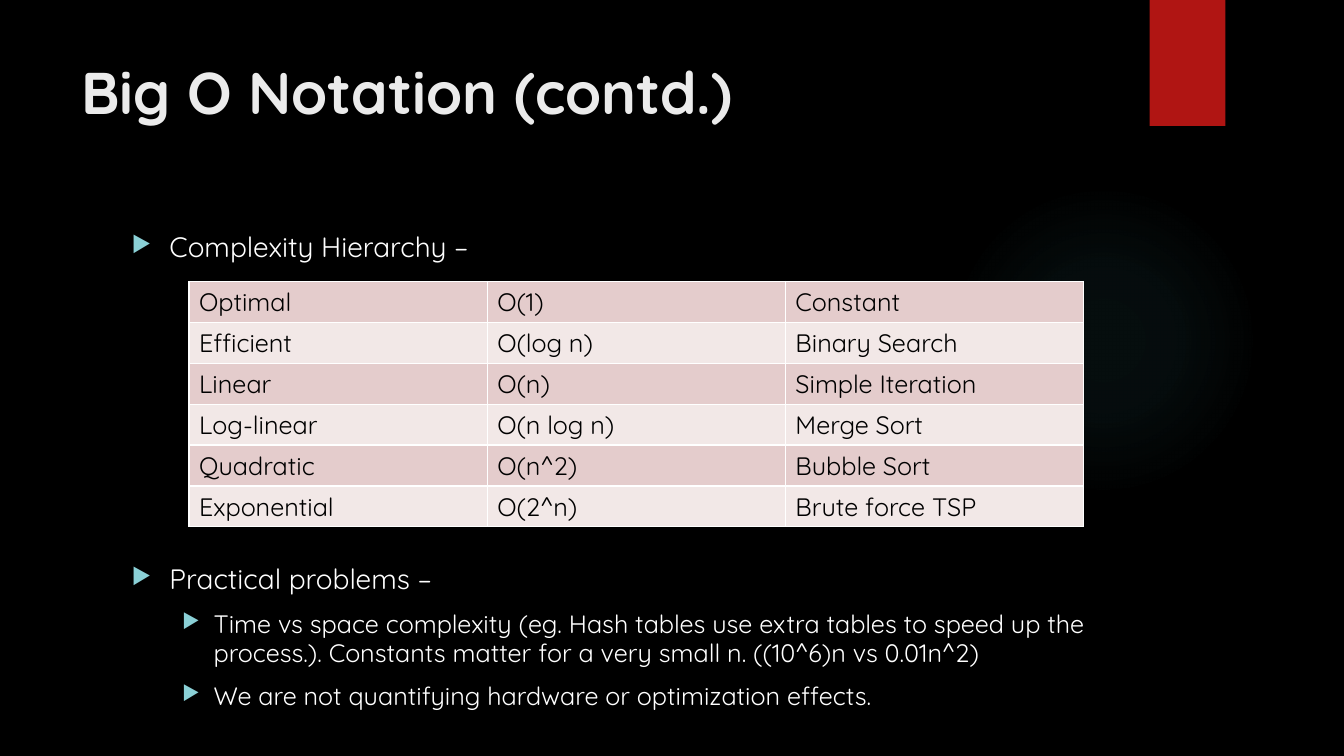
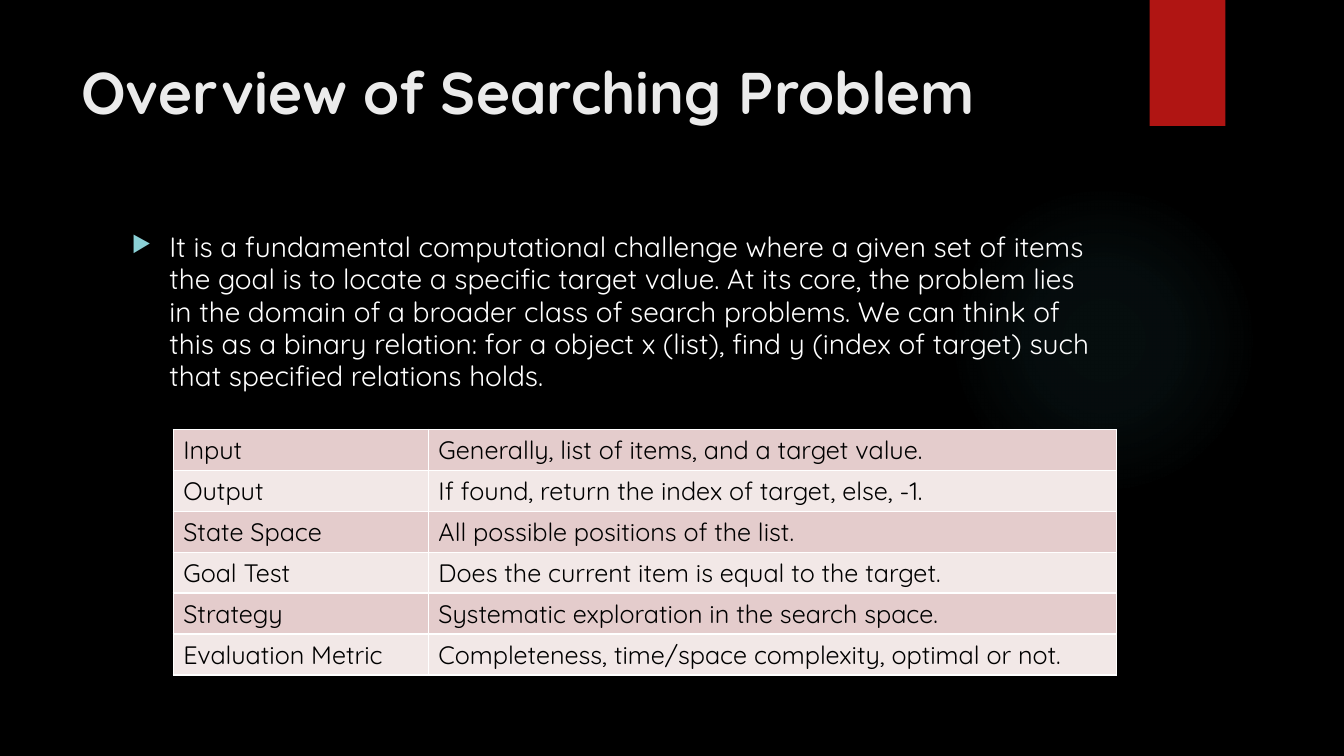
from dataclasses import dataclass

from pptx import Presentation
from pptx.dml.color import RGBColor
from pptx.enum.shapes import MSO_SHAPE
from pptx.enum.text import MSO_ANCHOR, PP_ALIGN
from pptx.oxml import parse_xml
from pptx.oxml.ns import nsdecls, qn
from pptx.util import Emu, Pt

OVAL = MSO_SHAPE.OVAL
RECTANGLE = MSO_SHAPE.RECTANGLE
LEFT = PP_ALIGN.LEFT
TOP = MSO_ANCHOR.TOP
EMU_PER_PX = 9525
EMU_PER_PT = 12700
BLANK_LAYOUT = 6


@dataclass(frozen=True)
class Theme:
    font: str = "Quicksand"
    background: str = "000000"
    glow: str = "50B9C1"
    ribbon: str = "B01513"
    shadow: str = "000000"
    title: str = "EBEBEB"
    body: str = "FFFFFF"
    bullet: str = "8AD0D6"
    cell_text: str = "000000"
    border: str = "FFFFFF"
    bands: tuple = ("E4CCCC", "F2E8E7")
    title_size: int = 42
    body_sizes: tuple = (20, 18)
    table_size: int = 18
    body_spacing: float = 0.96
    paragraph_gap: int = 10


def px(length):
    return Emu(length * EMU_PER_PX)


def drawing_xml(markup):
    """Parse one DrawingML element whose tag opens the markup."""
    tag, rest = markup[:-1].split(" ", 1) if " " in markup.split(">")[0] else (
        markup.split(">")[0], ">" + markup.split(">", 1)[1][:-1])
    return parse_xml(f"{tag} {nsdecls('a')} {rest}>")


def write_text(para, text, *, font, size, color, bold=False, space_before=0,
               line_spacing=None):
    para.alignment = LEFT
    para.space_before = Pt(space_before)
    if line_spacing:
        para.line_spacing = line_spacing
    span = para.add_run()
    span.text = text
    span.font.name = font
    span.font.size = Pt(size)
    span.font.bold = bold
    span.font.color.rgb = RGBColor.from_string(color)


class DeckBuilder:
    INDENTS = ((36, 36), (78, 30))  # text indent and bullet hang, in px

    def __init__(self, theme):
        self.theme = theme
        self.deck = Presentation()
        self.deck.slide_width = px(1280)
        self.deck.slide_height = px(720)
        self.page = None

    def add_page(self, title):
        self.page = self.deck.slides.add_slide(
            self.deck.slide_layouts[BLANK_LAYOUT])
        fill = self.page.background.fill
        fill.solid()
        fill.fore_color.rgb = RGBColor.from_string(self.theme.background)
        self.add_glow()
        self.add_ribbon()
        self.add_title(title)

    def add_plain_shape(self, kind, left, top, width, height):
        shape = self.page.shapes.add_shape(
            kind, px(left), px(top), px(width), px(height))
        shape.shadow.inherit = False
        shape.line.fill.background()
        return shape

    def add_glow(self):
        shape = self.add_plain_shape(OVAL, 903, 176, 296, 296)
        shape.fill.background()
        stops = "".join(
            f'<a:gs pos="{position * 1000}"><a:srgbClr val="{self.theme.glow}">'
            f'<a:alpha val="{opacity * 1000}"/></a:srgbClr></a:gs>'
            for position, opacity in ((0, 7), (36, 6), (69, 0)))
        gradient = drawing_xml(
            f'<a:gradFill rotWithShape="1"><a:gsLst>{stops}</a:gsLst>'
            '<a:path path="circle"><a:fillToRect l="50000" t="50000" '
            'r="50000" b="50000"/></a:path></a:gradFill>')
        properties = shape.element.spPr
        properties.replace(properties.find(qn("a:noFill")), gradient)

    def add_ribbon(self):
        shape = self.add_plain_shape(RECTANGLE, 1095, 0, 72, 120)
        shape.fill.solid()
        shape.fill.fore_color.rgb = RGBColor.from_string(self.theme.ribbon)
        shape.element.spPr.find(qn("a:effectLst")).append(drawing_xml(
            f'<a:outerShdw blurRad="{3 * EMU_PER_PT}" dist="{2 * EMU_PER_PT}" '
            f'dir="5400000" rotWithShape="0"><a:srgbClr val="{self.theme.shadow}">'
            '<a:alpha val="45000"/></a:srgbClr></a:outerShdw>'))

    def add_text_frame(self, left, top, width, height):
        box = self.page.shapes.add_textbox(
            px(left), px(top), px(width), px(height))
        frame = box.text_frame
        frame.word_wrap = True
        frame.vertical_anchor = TOP
        return frame

    def add_title(self, text):
        frame = self.add_text_frame(68, 48, 988, 147)
        write_text(frame.paragraphs[0], text, font=self.theme.font,
                   size=self.theme.title_size, color=self.theme.title, bold=True)

    def add_bullets(self, items):
        """Each item is (level, text) or (level, text, space before in pt)."""
        theme = self.theme
        frame = self.add_text_frame(116, 216, 939, 441)
        for index, (level, text, *gap) in enumerate(items):
            para = frame.add_paragraph() if index else frame.paragraphs[0]
            default_gap = theme.paragraph_gap if index else 0
            write_text(para, text, font=theme.font, size=theme.body_sizes[level],
                       color=theme.body, line_spacing=theme.body_spacing,
                       space_before=gap[0] if gap else default_gap)
            para.level = level
            self.add_bullet_mark(para, *self.INDENTS[level])

    def add_bullet_mark(self, para, indent, hang):
        properties = para._p.get_or_add_pPr()
        properties.set("marL", str(px(indent)))
        properties.set("indent", str(-px(hang)))
        for markup in (
                f'<a:buClr><a:srgbClr val="{self.theme.bullet}"/></a:buClr>',
                '<a:buSzPct val="80000"/>',
                '<a:buChar char="▶"/>'):
            properties.append(drawing_xml(markup))

    def add_table(self, left, top, column_widths, rows, row_height=39):
        theme = self.theme
        table = self.page.shapes.add_table(
            len(rows), len(column_widths), px(left), px(top),
            px(sum(column_widths)), px(row_height * len(rows))).table
        table.first_row = False
        table.horz_banding = False
        for column, width in zip(table.columns, column_widths):
            column.width = px(width)
        for row_index, texts in enumerate(rows):
            band = theme.bands[row_index % len(theme.bands)]
            for column_index, text in enumerate(texts):
                cell = table.cell(row_index, column_index)
                cell.fill.solid()
                cell.fill.fore_color.rgb = RGBColor.from_string(band)
                self.add_borders(cell)
                write_text(cell.text_frame.paragraphs[0], text, font=theme.font,
                           size=theme.table_size, color=theme.cell_text)

    def add_borders(self, cell):
        properties = cell._tc.get_or_add_tcPr()
        for index, side in enumerate("LRTB"):
            properties.insert(index, drawing_xml(
                f'<a:ln{side} w="{EMU_PER_PT}"><a:solidFill>'
                f'<a:srgbClr val="{self.theme.border}"/></a:solidFill></a:ln{side}>'))


def build_notation_page(builder):
    builder.add_page("Big O Notation (contd.)")
    # The wide gap before the second heading leaves room for the table
    builder.add_bullets([
        (0, "Complexity Hierarchy –"),
        (0, "Practical problems –", 214),
        (1, "Time vs space complexity (eg. Hash tables use extra tables to speed "
            "up the process.). Constants matter for a very small n. "
            "((10^6)n vs 0.01n^2)"),
        (1, "We are not quantifying hardware or optimization effects."),
    ])
    builder.add_table(180, 268, [284] * 3, [
        ("Optimal", "O(1)", "Constant"),
        ("Efficient", "O(log n)", "Binary Search"),
        ("Linear", "O(n)", "Simple Iteration"),
        ("Log-linear", "O(n log n)", "Merge Sort"),
        ("Quadratic", "O(n^2)", "Bubble Sort"),
        ("Exponential", "O(2^n)", "Brute force TSP"),
    ])


def build_searching_page(builder):
    builder.add_page("Overview of Searching Problem")
    builder.add_bullets([
        (0, "It is a fundamental computational challenge where a given set of "
            "items the goal is to locate a specific target value. At its core, "
            "the problem lies in the domain of a broader class of search "
            "problems. We can think of this as a binary relation: for a object x "
            "(list), find y (index of target) such that specified relations "
            "holds."),
    ])
    builder.add_table(165, 409, [243, 655], [
        ("Input", "Generally, list of items, and a target value."),
        ("Output", "If found, return the index of target, else, -1."),
        ("State Space", "All possible positions of the list."),
        ("Goal Test", "Does the current item is equal to the target."),
        ("Strategy", "Systematic exploration in the search space."),
        ("Evaluation Metric",
         "Completeness, time/space complexity, optimal or not."),
    ])


def main():
    builder = DeckBuilder(Theme())
    build_notation_page(builder)
    build_searching_page(builder)
    builder.deck.save("out.pptx")


if __name__ == "__main__":
    main()
